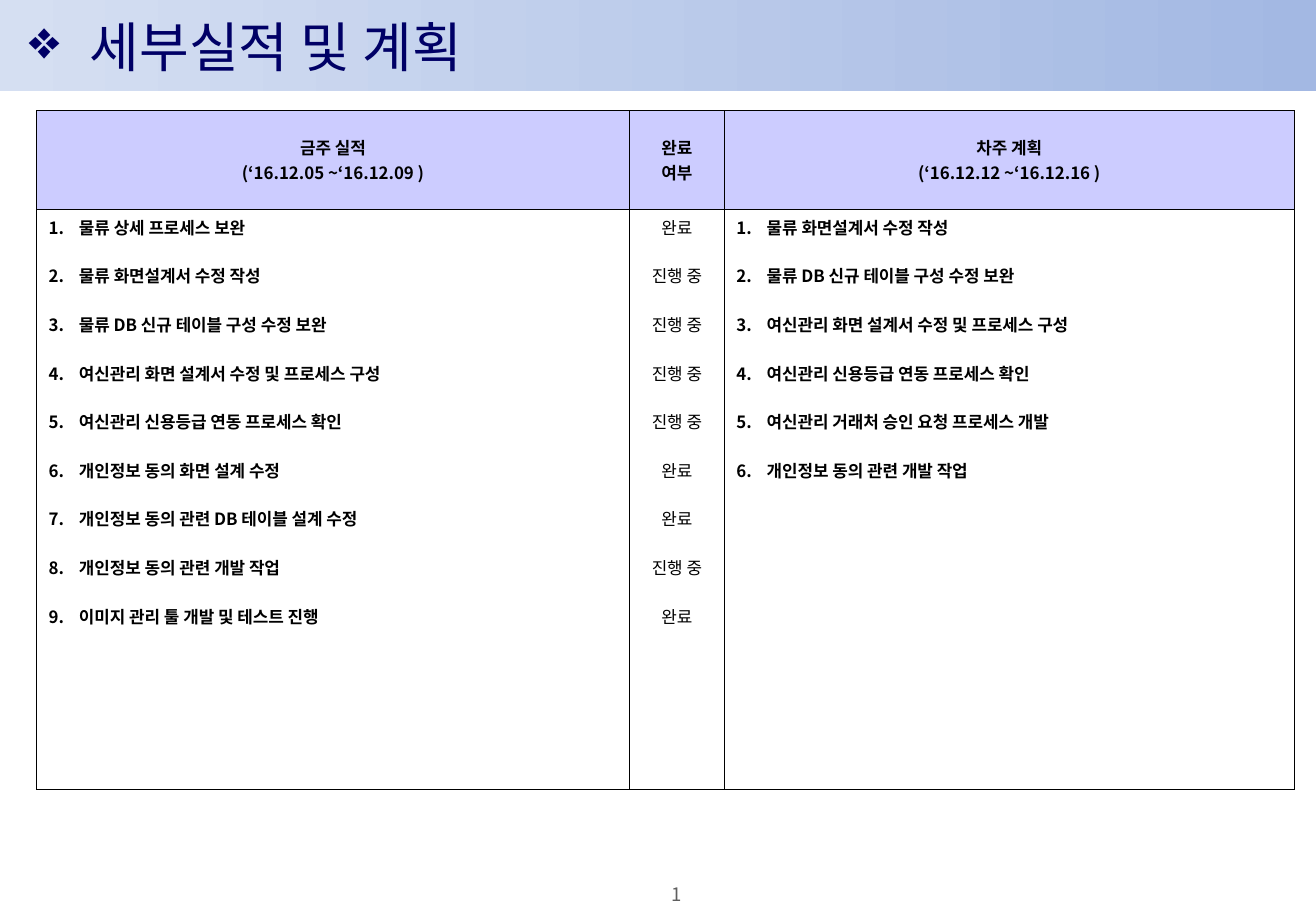
import pptx
import pptx.util
import pptx.dml.color
import pptx.enum.shapes
import pptx.enum.text
import pptx.oxml
import pptx.oxml.ns
from lxml import etree

Inches = pptx.util.Inches
Pt = pptx.util.Pt
ALIGN = pptx.enum.text.PP_ALIGN
ANCHOR = pptx.enum.text.MSO_ANCHOR


def color(code):
    return pptx.dml.color.RGBColor.from_string(code)


def node(parent, tag, **attrs):
    return etree.SubElement(parent, pptx.oxml.ns.qn(tag), attrs)


class Page:
    face = "Noto Sans CJK KR"
    black = "000000"
    head = "CCCCFF"

    def __init__(self, slide):
        self.slide = slide

    def band(self, x, y, w, h, start, end):
        kind = pptx.enum.shapes.MSO_SHAPE.RECTANGLE
        shape = self.slide.shapes.add_shape(
            kind, Inches(x), Inches(y), Inches(w), Inches(h))
        shape.shadow.inherit = False
        shape.line.fill.background()
        shape.fill.gradient()
        shape.fill.gradient_angle = 0
        for stop, code in zip(shape.fill.gradient_stops, (start, end)):
            stop.color.rgb = color(code)

    def label(self, frame, lines, size, code, bold=False, align=ALIGN.LEFT,
              gap=0, indent=0, bullet=None):
        frame.text = "\n".join(lines)
        for i, para in enumerate(frame.paragraphs):
            para.alignment = align
            if gap and i:
                para.space_before = Pt(gap)
            if bullet:
                props = para._p.get_or_add_pPr()
                props.set("marL", str(Inches(indent)))
                props.set("indent", str(-Inches(indent)))
                if bullet == "1.":
                    node(props, "a:buAutoNum", type="arabicPeriod")
                else:
                    node(props, "a:buChar", char=bullet)
            for run in para.runs:
                font = run.font
                font.name = self.face
                font.size = Pt(size)
                font.bold = bold
                font.color.rgb = color(code)
                node(run._r.get_or_add_rPr(), "a:ea", typeface=self.face)

    def text(self, x, y, w, h, words, size, code, inset=(0, 0), **style):
        box = self.slide.shapes.add_textbox(
            Inches(x), Inches(y), Inches(w), Inches(h))
        frame = box.text_frame
        frame.word_wrap = True
        frame.vertical_anchor = ANCHOR.MIDDLE
        frame.margin_left = frame.margin_right = Inches(inset[0])
        frame.margin_top = frame.margin_bottom = Inches(inset[1])
        self.label(frame, [words], size, code, **style)

    def border(self, cell):
        props = cell._tc.get_or_add_tcPr()
        for i, side in enumerate("LRTB"):
            line = node(props, "a:ln" + side, w=str(Pt(0.5)))
            node(node(line, "a:solidFill"), "a:srgbClr", val=self.black)
            props.insert(i, line)

    def table(self, x, y, widths, heights, heads, bodies):
        grid = self.slide.shapes.add_table(
            len(heights), len(widths), Inches(x), Inches(y),
            Inches(sum(widths)), Inches(sum(heights))).table
        grid.first_row = grid.horz_banding = False
        for col, width in zip(grid.columns, widths):
            col.width = Inches(width)
        for row, height in zip(grid.rows, heights):
            row.height = Inches(height)
        for i, (head, (lines, style)) in enumerate(zip(heads, bodies)):
            top, body = grid.cell(0, i), grid.cell(1, i)
            top.fill.solid()
            top.fill.fore_color.rgb = color(self.head)
            top.vertical_anchor = ANCHOR.MIDDLE
            body.fill.background()
            self.label(top.text_frame, head, 10, self.black,
                       bold=True, align=ALIGN.CENTER)
            self.label(body.text_frame, lines, 10, self.black,
                       gap=14.4, **style)
            self.border(top)
            self.border(body)


deck = pptx.Presentation()
deck.slide_width = Inches(10.83)
deck.slide_height = Inches(7.5)
page = Page(deck.slides.add_slide(deck.slide_layouts[6]))

# Title band and page number
page.band(0, 0, 10.83, 0.75, "D5DFF2", "A3B8E3")
page.text(5.1, 7.27, 0.94, 0.18, "1", 11, "5F5F5F", align=ALIGN.CENTER)
page.text(0.14, 0, 7.08, 0.75, "세부실적 및 계획", 32, "000066",
          inset=(0.1, 0.05), indent=0.5, bullet="❖")

# Weekly results, status and plan
heads = [
    ["금주 실적", "(‘16.12.05 ~‘16.12.09 )"],
    ["완료", "여부"],
    ["차주 계획", "(‘16.12.12 ~‘16.12.16 )"],
]
done, doing = "완료", "진행 중"
tasks = [
    ("물류 상세 프로세스 보완", done),
    ("물류 화면설계서 수정 작성", doing),
    ("물류 DB 신규 테이블 구성 수정 보완", doing),
    ("여신관리 화면 설계서 수정 및 프로세스 구성", doing),
    ("여신관리 신용등급 연동 프로세스 확인", doing),
    ("개인정보 동의 화면 설계 수정", done),
    ("개인정보 동의 관련 DB 테이블 설계 수정", done),
    ("개인정보 동의 관련 개발 작업", doing),
    ("이미지 관리 툴 개발 및 테스트 진행", done),
]
works, states = zip(*tasks)
plans = [*works[1:5], "여신관리 거래처 승인 요청 프로세스 개발", works[7]]
listed = dict(bold=True, indent=0.25, bullet="1.")
page.table(0.3, 0.91, [4.88, 0.78, 4.69], [0.81, 4.78], heads,
           [(works, listed), (states, dict(align=ALIGN.CENTER)),
            (plans, listed)])

deck.save("out.pptx")
